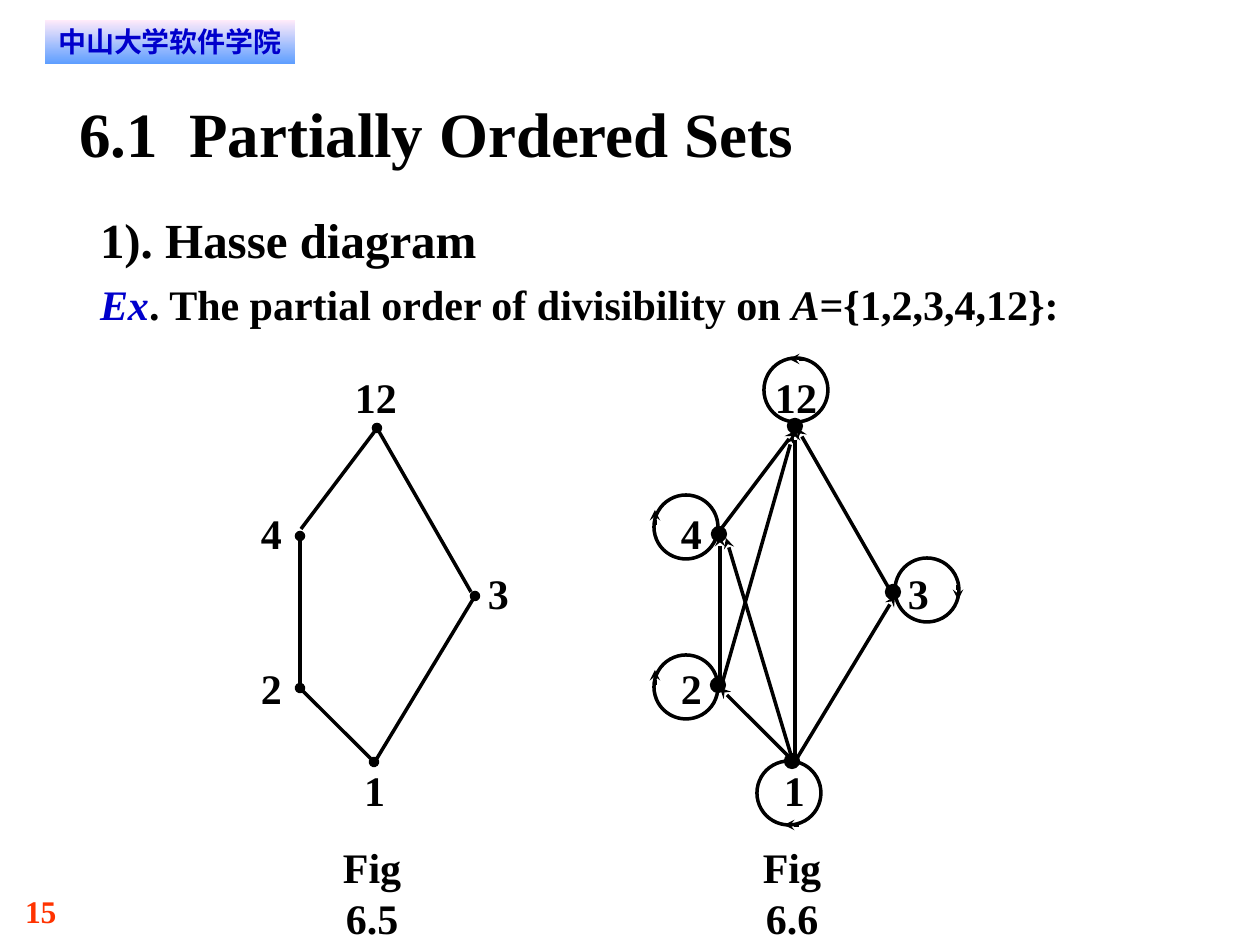
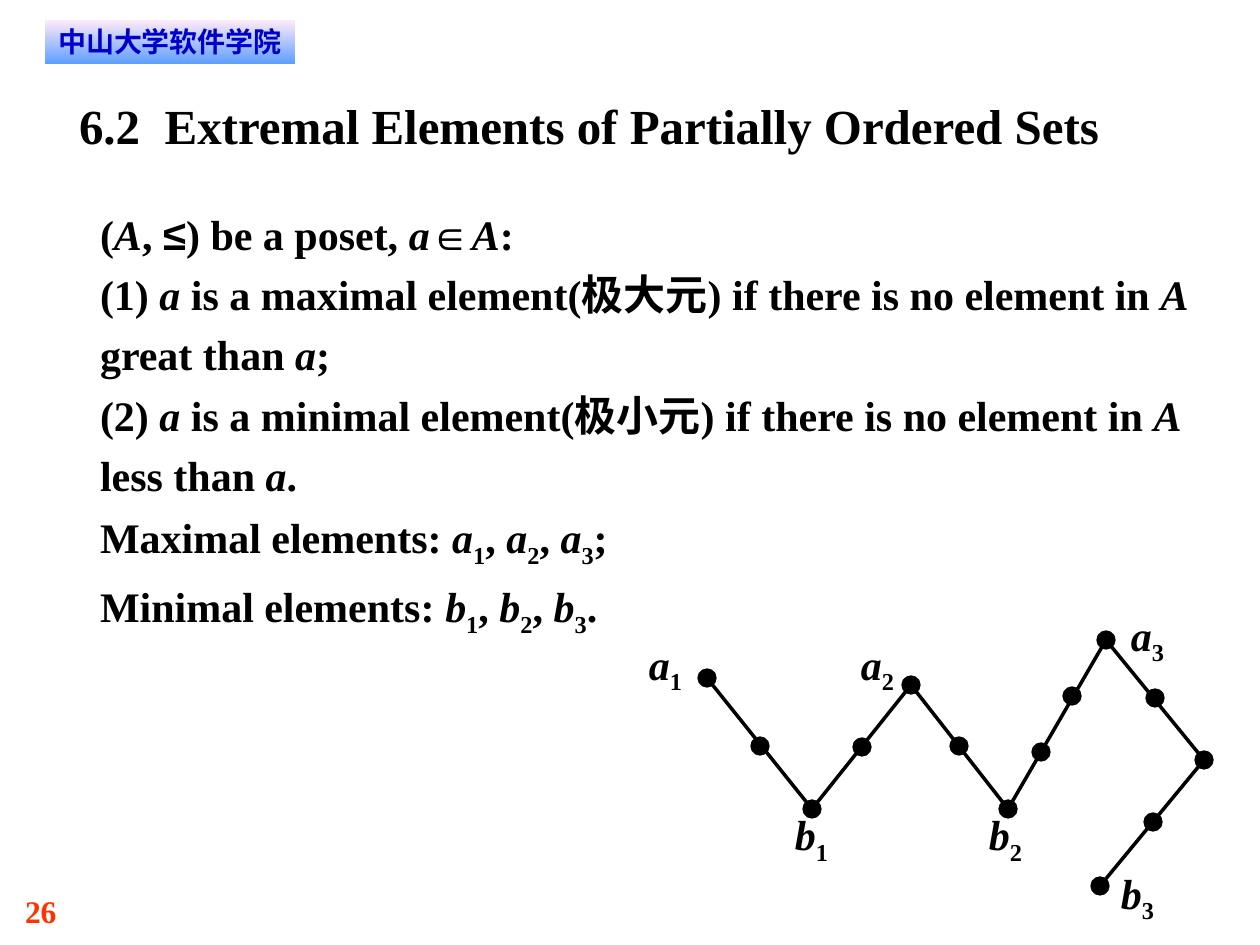
"""Build two slides on partially ordered sets: Hasse diagrams and extremal elements."""
from lxml.etree import SubElement
from pptx import Presentation
from pptx.dml.color import RGBColor
from pptx.enum.shapes import MSO_CONNECTOR as Connector, MSO_SHAPE as Shape
from pptx.enum.text import MSO_ANCHOR as Anchor, MSO_AUTO_SIZE as AutoSize, PP_ALIGN as Align
from pptx.oxml.ns import qn
from pptx.util import Inches, Pt

PX = Inches(10) / 1260
COLORS = {"ink": "000000", "accent": "0000CC", "number": "FF3300",
          "band_top": "FFEBFA", "band_bottom": "5E9EFF"}
SERIF, SANS, BAND_FONT = "Times New Roman", "Arial", "DejaVu Sans"
# Runs are divided by "|"; a leading mark sets the style of its run.
MARKS = {"/": {"italic": True}, "_": {"subscript": True}, "~": {"font": SANS},
         "#": {"italic": True, "color": "accent"}}

SCHOOL = "中山大学软件学院"

HASSE = {
    "title": ("6.1  Partially Ordered Sets", 36),
    "number": "15",
    "body": [("1). Hasse diagram", 28),
             ("#Ex|. The partial order of divisibility on |/A|={1,2,3,4,12}:", 24)],
}
FIGURES = [("Fig 6.5", 0), ("Fig 6.6", 420)]
ELEMENTS = {"12": (355, 372), "4": (261, 508), "3": (488, 568), "2": (261, 663), "1": (364, 765)}
COVERS = [((300, 536), (300, 684), "oval", None),
          ((375, 431), (301, 529), None, None),
          ((300, 688), (374, 762), "oval", "oval"),
          ((475, 596), (376, 760), "oval", None),
          ((377, 428), (471, 592), "oval", None)]
IMPLIED = [((726, 538), (791, 755)), ((795, 430), (795, 755)), ((793, 435), (722, 684))]
VERTICES = [(719, 534), (718, 685), (792, 761), (893, 592), (795, 426)]
LOOPS = [(654, 495, "left"), (654, 655, "left"), (757, 761, "bottom"),
         (764, 358, "top"), (895, 558, "right")]
LOOP_ARROWS = {"left": ((1, 30), (1, 15)), "top": ((40, 1), (25, 1)),
               "bottom": ((42, 64), (27, 64)), "right": ((63, 27), (63, 42))}

EXTREMAL = {
    "title": ("6.2  Extremal Elements of Partially Ordered Sets", 28),
    "number": "26",
    "body": [(line, 24) for line in (
        "(|/A|, |~≤|) be a poset, |/a|~∈|/A|:",
        "(1) |/a| is a maximal element(极大元) if there is no element in |/A| great than |/a|;",
        "(2) |/a| is a minimal element(极小元) if there is no element in |/A| less than |/a|.",
        "Maximal elements: |/a|_1|, |/a|_2|, |/a|_3|;",
        "Minimal elements: |/b|_1|, |/b|_2|, |/b|_3|.")],
}
TURNS = [(707, 678), (812, 809), (911, 685), (1008, 809), (1106, 640), (1204, 760), (1100, 886)]
BETWEEN = [(760, 746), (862, 747), (959, 746), (1041, 752), (1072, 696), (1155, 698), (1153, 822)]
EXTREMES = {"/a|_1": (649, 638), "/a|_2": (861, 638), "/a|_3": (1131, 609),
            "/b|_1": (795, 809), "/b|_2": (989, 809), "/b|_3": (1121, 867)}


def emu(*lengths):
    return [round(length * PX) for length in lengths]


def rgb(name):
    return RGBColor.from_string(COLORS[name])


def write(frame, lines, color="ink", font=SERIF, align=Align.LEFT, spacing=None,
          margins=(0, 0), wrap=True):
    frame.auto_size = AutoSize.NONE
    frame.word_wrap = wrap
    frame.vertical_anchor = Anchor.TOP
    frame.margin_left = frame.margin_right = emu(margins[0])[0]
    frame.margin_top = frame.margin_bottom = emu(margins[1])[0]
    for index, (line, size) in enumerate(lines):
        paragraph = frame.add_paragraph() if index else frame.paragraphs[0]
        paragraph.alignment = align
        if spacing:
            paragraph.line_spacing = spacing
        for piece in line.split("|"):
            style = MARKS.get(piece[0], {})
            run = paragraph.add_run()
            run.text = piece[1:] if style else piece
            run.font.size = Pt(size)
            run.font.bold = True
            run.font.italic = style.get("italic", False)
            run.font.name = style.get("font", font)
            run.font.color.rgb = rgb(style.get("color", color))
            if style.get("subscript"):
                run.font._element.set("baseline", "-25000")


def add_text(slide, box, lines, **options):
    write(slide.shapes.add_textbox(*emu(*box)).text_frame, lines, **options)


def add_line(slide, start, end, head=None, tail=None):
    line = slide.shapes.add_connector(Connector.STRAIGHT, *emu(*start, *end))
    line.line.color.rgb = rgb("ink")
    line.line.width = Pt(2)
    outline = line.line._get_or_add_ln()
    for tag, kind in (("a:headEnd", head), ("a:tailEnd", tail)):
        if kind:
            SubElement(outline, qn(tag), type=kind)
    SubElement(line._element.spPr, qn("a:effectLst"))


def add_circle(slide, left, top, size, filled=False):
    circle = slide.shapes.add_shape(Shape.OVAL, *emu(left, top, size, size))
    circle.shadow.inherit = False
    if filled:
        circle.fill.solid()
        circle.fill.fore_color.rgb = rgb("ink")
    else:
        circle.fill.background()
    circle.line.color.rgb = rgb("ink")
    circle.line.width = Pt(0.75 if filled else 2)


def add_dots(slide, centers, size):
    for x, y in centers:
        add_circle(slide, x - size / 2, y - size / 2, size, filled=True)


def add_band(slide):
    band = slide.shapes.add_shape(Shape.RECTANGLE, *emu(45, 20, 250, 44))
    band.shadow.inherit = False
    band.line.fill.background()
    band.fill.gradient()
    band.fill.gradient_angle = 270
    for stop, name in zip(band.fill.gradient_stops, ("band_top", "band_bottom")):
        stop.color.rgb = rgb(name)
    write(band.text_frame, [(SCHOOL, 16)], color="accent", font=BAND_FONT,
          align=Align.CENTER, margins=(10, 5))


def add_slide(deck, content):
    slide = deck.slides.add_slide(deck.slide_layouts[5])
    title = slide.shapes.title
    title.left, title.top, title.width, title.height = emu(79, 95, 1103, 76)
    write(title.text_frame, [content["title"]])
    add_text(slide, (25, 892, 95, 38), [(content["number"], 18)], color="number")
    add_band(slide)
    add_text(slide, (100, 198, 1104, 440), content["body"], spacing=1.2)
    return slide


def draw_hasse(slide):
    for caption, shift in FIGURES:
        add_text(slide, (312 + shift, 842, 120, 101), [(caption, 24)], align=Align.CENTER)
        for element, (left, top) in ELEMENTS.items():
            add_text(slide, (left + shift, top, 21 * len(element), 50), [(element, 24)], wrap=False)
        for (x1, y1), (x2, y2), head, tail in COVERS:
            ends = ("stealth", None) if shift else (head, tail)
            add_line(slide, (x1 + shift, y1), (x2 + shift, y2), *ends)
    add_dots(slide, VERTICES, 15)
    for upper, lower in IMPLIED:
        add_line(slide, upper, lower, head="stealth")
    for left, top, side in LOOPS:
        add_circle(slide, left, top, 64)
        start, tip = [(left + x, top + y) for x, y in LOOP_ARROWS[side]]
        add_line(slide, start, tip, tail="stealth")


def draw_zigzag(slide):
    for start, end in zip(TURNS, TURNS[1:]):
        add_line(slide, start, end)
    add_dots(slide, TURNS + BETWEEN, 18)
    for label, (left, top) in EXTREMES.items():
        add_text(slide, (left, top, 33, 58), [(label, 24)], align=Align.CENTER, wrap=False)


def main():
    deck = Presentation()
    deck.slide_width, deck.slide_height = emu(1260, 945)
    draw_hasse(add_slide(deck, HASSE))
    draw_zigzag(add_slide(deck, EXTREMAL))
    deck.save("out.pptx")


if __name__ == "__main__":
    main()
